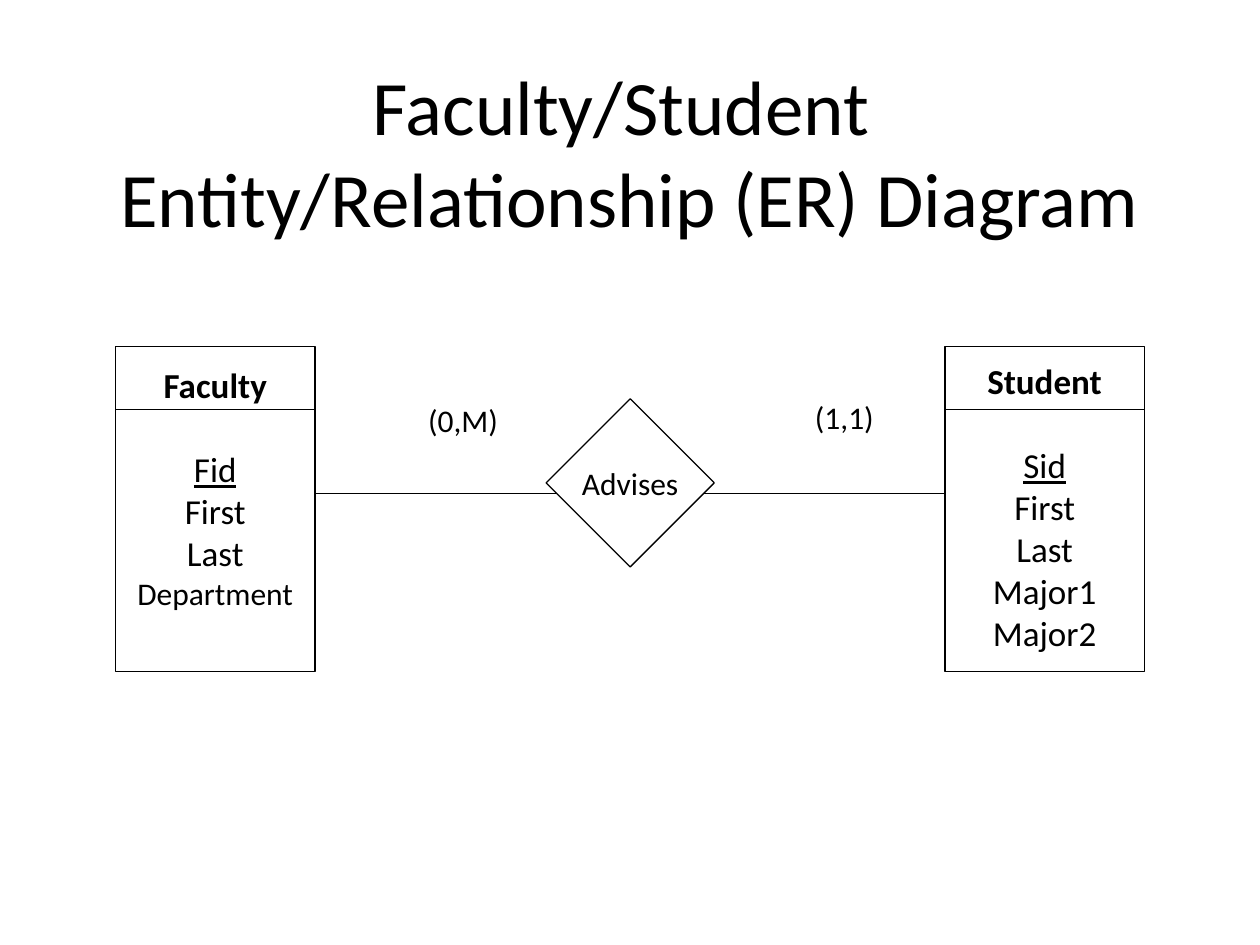
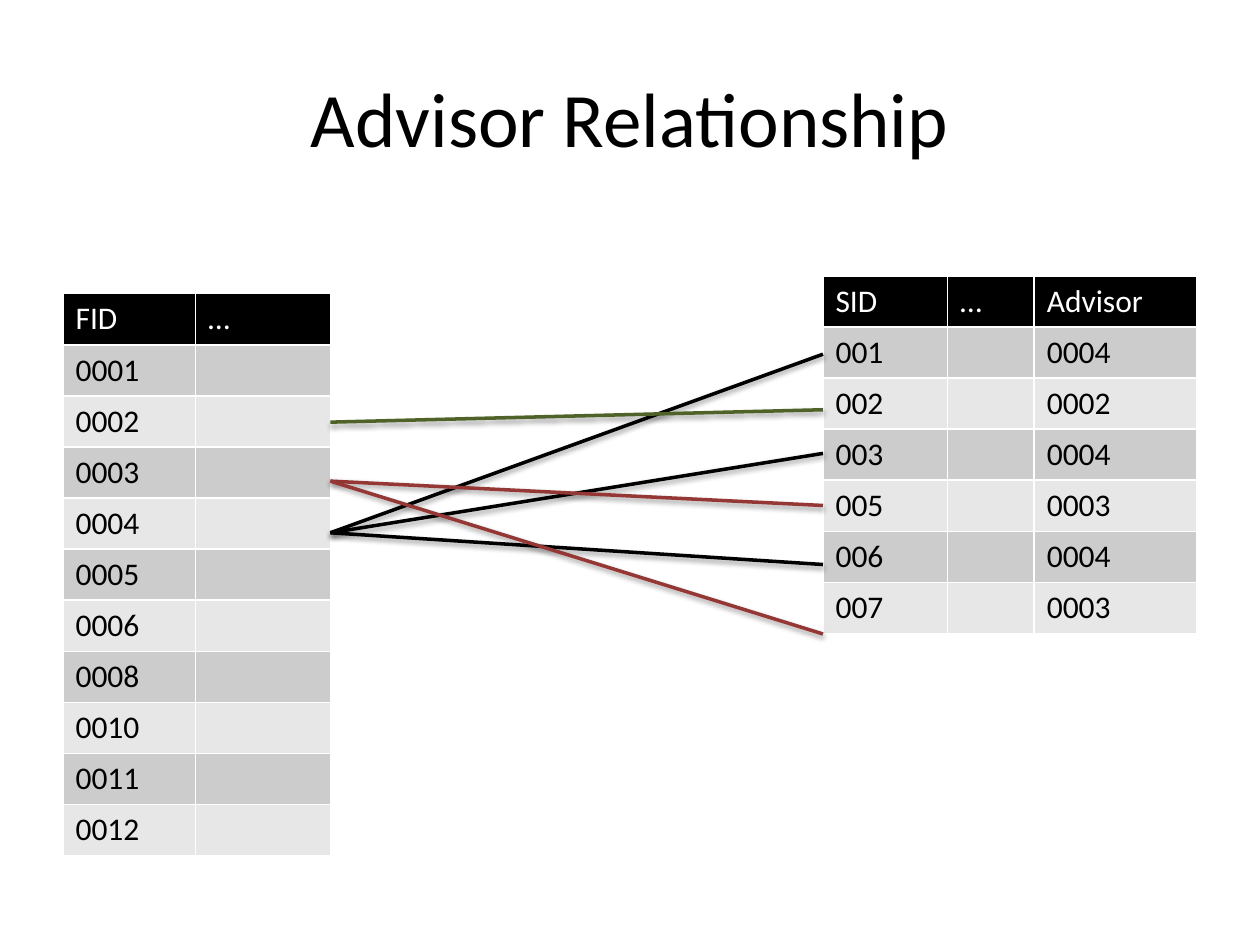
from dataclasses import dataclass

from lxml import etree
from pptx import Presentation
from pptx.dml.color import RGBColor
from pptx.enum.shapes import MSO_CONNECTOR, MSO_SHAPE
from pptx.enum.text import MSO_ANCHOR, PP_ALIGN
from pptx.oxml.ns import qn
from pptx.util import Cm, Pt

CENTER, LEFT = PP_ALIGN.CENTER, PP_ALIGN.LEFT
TOP, MIDDLE = MSO_ANCHOR.TOP, MSO_ANCHOR.MIDDLE
RECTANGLE, DIAMOND = MSO_SHAPE.RECTANGLE, MSO_SHAPE.DIAMOND
STRAIGHT = MSO_CONNECTOR.STRAIGHT


@dataclass(frozen=True)
class Theme:
    font: str = "Calibri"
    ink: str = "000000"
    paper: str = "FFFFFF"
    bands: tuple = ("CCCCCC", "E7E7E7")
    green: str = "4F6228"
    red: str = "953735"
    title_size: int = 44
    entity_size: int = 20
    body_size: int = 18
    thin: float = 0.75
    thick: float = 2


def color(value):
    return RGBColor.from_string(value)


def write_text(paragraph, text, *, theme, size=None, ink=None, bold=False,
               underline=False, align=LEFT, before=0):
    paragraph.text = text
    paragraph.alignment = align
    paragraph.space_before = Pt(before)
    for run in paragraph.runs:
        font = run.font
        font.name = theme.font
        font.size = Pt(size or theme.body_size)
        font.color.rgb = color(ink or theme.ink)
        font.bold = bold
        font.underline = underline


def set_shadow(connector, visible):
    """Give the connector a soft drop shadow, or none at all."""
    effects = etree.SubElement(connector._element.spPr, qn("a:effectLst"))
    if visible:
        shadow = etree.SubElement(effects, qn("a:outerShdw"), blurRad=str(Pt(3.1)),
                                  dist=str(Pt(1.6)), dir="5400000", rotWithShape="0")
        black = etree.SubElement(shadow, qn("a:srgbClr"), val="000000")
        etree.SubElement(black, qn("a:alpha"), val="38000")


class Deck:
    """Draws on the current slide in one style; all lengths are in centimetres."""

    def __init__(self, theme):
        self.theme = theme
        self.presentation = Presentation()
        self.presentation.slide_width = Cm(25.4)
        self.presentation.slide_height = Cm(19.05)
        self.slide = None

    def add_slide(self, title, title_height):
        self.slide = self.presentation.slides.add_slide(self.presentation.slide_layouts[6])
        self.text(title, 1.27, 0.76, 22.86, title_height, wrap=True, anchor=MIDDLE,
                  size=self.theme.title_size, align=CENTER)

    def text(self, text, left, top, width, height, *, wrap=False, anchor=TOP, **text_format):
        box = self.slide.shapes.add_textbox(Cm(left), Cm(top), Cm(width), Cm(height))
        frame = box.text_frame
        frame.word_wrap = wrap
        frame.vertical_anchor = anchor
        write_text(frame.paragraphs[0], text, theme=self.theme, **text_format)

    def shape(self, kind, left, top, width, height):
        """Add an outlined shape and return its text frame."""
        shape = self.slide.shapes.add_shape(kind, Cm(left), Cm(top), Cm(width), Cm(height))
        shape.shadow.inherit = False
        shape.fill.solid()
        shape.fill.fore_color.rgb = color(self.theme.paper)
        shape.line.color.rgb = color(self.theme.ink)
        shape.line.width = Pt(self.theme.thin)
        frame = shape.text_frame
        frame.word_wrap = False
        frame.vertical_anchor = MIDDLE
        return frame

    def line(self, start, end, *, ink=None, width=None, shadow=False):
        points = [Cm(value) for value in (*start, *end)]
        connector = self.slide.shapes.add_connector(STRAIGHT, *points)
        connector.line.color.rgb = color(ink or self.theme.ink)
        connector.line.width = Pt(width or self.theme.thin)
        set_shadow(connector, shadow)

    def entity(self, name, attributes, left, *, inset):
        """Draw an entity box: name, dividing line, underlined key, other attributes."""
        top, width, height, header = 6.98, 4.02, 6.56, 1.27
        size = self.theme.entity_size
        frame = self.shape(RECTANGLE, left, top, width, height)
        frame.vertical_anchor = TOP
        frame.margin_top = Cm(inset)
        write_text(frame.paragraphs[0], name, theme=self.theme, size=size,
                   bold=True, align=CENTER)
        for index, (attribute, attribute_size) in enumerate(attributes):
            is_key = index == 0
            write_text(frame.add_paragraph(), attribute, theme=self.theme,
                       size=attribute_size, underline=is_key, align=CENTER,
                       before=24.4 if is_key else 0)
        self.line((left, top + header), (left + width, top + header))

    def relationship(self, name, left, top, side):
        frame = self.shape(DIAMOND, left, top, side, side)
        write_text(frame.paragraphs[0], name, theme=self.theme, align=CENTER)

    def table(self, rows, left, top, column_widths):
        row_height = 1.03
        table = self.slide.shapes.add_table(
            len(rows), len(column_widths), Cm(left), Cm(top),
            Cm(sum(column_widths)), Cm(row_height * len(rows))).table
        for column, width in zip(table.columns, column_widths):
            column.width = Cm(width)
        for row_index, row in enumerate(rows):
            is_header = row_index == 0
            fill = self.theme.ink if is_header else self.theme.bands[(row_index - 1) % 2]
            ink = self.theme.paper if is_header else self.theme.ink
            for column_index, text in enumerate(row):
                cell = table.cell(row_index, column_index)
                cell.fill.solid()
                cell.fill.fore_color.rgb = color(fill)
                write_text(cell.text_frame.paragraphs[0], text, theme=self.theme, ink=ink)


def draw_er_diagram(deck):
    theme = deck.theme
    deck.add_slide("Faculty/Student \vEntity/Relationship (ER) Diagram", 4.55)
    large, small = theme.entity_size, theme.body_size
    deck.entity("Faculty", [("Fid", large), ("First", large), ("Last", large),
                            ("Department", small)], 2.33, inset=0.34)
    deck.entity("Student", [(name, large) for name in
                            ("Sid", "First", "Last", "Major1", "Major2")], 19.05, inset=0.26)
    deck.relationship("Advises", 11.01, 8.04, 3.39)
    link_y = 9.95
    for start, end in ((6.35, 11.22), (14.18, 19.05)):
        deck.line((start, link_y), (end, link_y))
    deck.text("(0,M)", 8.38, 7.95, 1.93, 1.02)
    deck.text("(1,1)", 16.18, 7.9, 1.7, 1.02)


def draw_advisor_relationship(deck):
    theme = deck.theme
    deck.add_slide("Advisor Relationship", 3.18)
    students = [("001", "0004"), ("002", "0002"), ("003", "0004"),
                ("005", "0003"), ("006", "0004"), ("007", "0003")]
    faculty = ("0001", "0002", "0003", "0004", "0005",
               "0006", "0008", "0010", "0011", "0012")
    student_left = 16.59
    faculty_left, faculty_widths = 1.27, (2.67, 2.72)
    deck.table([("SID", "…", "Advisor")] + [(sid, "", advisor) for sid, advisor in students],
               student_left, 5.56, (2.51, 1.75, 3.28))
    deck.table([("FID", "…")] + [(fid, "") for fid in faculty],
               faculty_left, 5.92, faculty_widths)

    faculty_right = faculty_left + sum(faculty_widths)
    advisor_links = {"0002": (8.51, theme.green), "0003": (9.7, theme.red),
                     "0004": (10.74, theme.ink)}
    student_ends = (7.14, 8.26, 9.14, 10.19, 11.38, 12.78)
    for (_, advisor), student_y in zip(students, student_ends):
        advisor_y, ink = advisor_links[advisor]
        deck.line((student_left, student_y), (faculty_right, advisor_y),
                  ink=ink, width=theme.thick, shadow=True)


def main():
    deck = Deck(Theme())
    draw_er_diagram(deck)
    draw_advisor_relationship(deck)
    deck.presentation.save("out.pptx")


if __name__ == "__main__":
    main()
